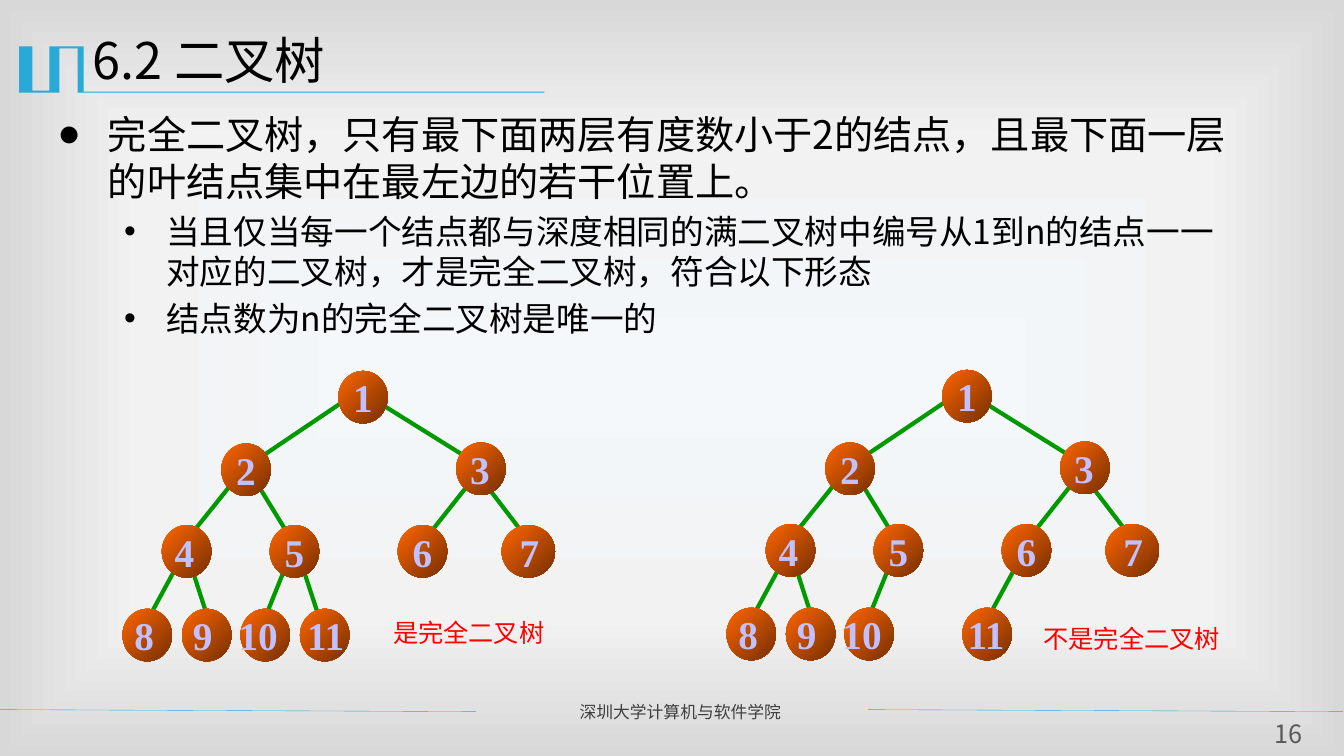
from lxml import etree
from pptx import Presentation
from pptx.dml.color import RGBColor
from pptx.enum.shapes import MSO_CONNECTOR as CONN, MSO_SHAPE as SHAPE
from pptx.enum.text import MSO_ANCHOR as ANCHOR, MSO_AUTO_SIZE as FIT, PP_ALIGN as ALIGN
from pptx.oxml import parse_xml
from pptx.oxml.ns import nsdecls, qn
from pptx.util import Inches, Pt

COLORS = {
    "accent": "28A9D6", "text": "000000", "footer": "3F3F3F", "page": "595959",
    "edge": "009900", "node_light": "FF6600", "node_dark": "762F00",
    "label": "C1C1FF", "caption": "FF0000",
    "bg_inner": "F4F8FB", "bg_mid": "F2F2F2", "bg_outer": "D8D8D8",
}
RGB = {name: RGBColor.from_string(value) for name, value in COLORS.items()}
SANS, SERIF = "Noto Sans CJK SC", "Times New Roman"


def add_run(p, text, size, color, font=SANS, bold=False):
    r = p.add_run()
    r.text = text
    r.font.size, r.font.name, r.font.bold = Pt(size), font, bold
    r.font.color.rgb = RGB[color]
    etree.SubElement(r.font._element, qn("a:ea")).set("typeface", font)


def add_line(ends, color, width):
    line = slide.shapes.add_connector(CONN.STRAIGHT, *[Inches(v) for v in ends])
    line.line.color.rgb = RGB[color]
    line.line.width = Pt(width)
    etree.SubElement(line._element.spPr, qn("a:effectLst"))


prs = Presentation()
prs.slide_width, prs.slide_height = Inches(13.33), Inches(7.5)
slide = prs.slides.add_slide(prs.slide_layouts[1])

# Background: rectangular gradient, light in the middle
slide.background.fill.solid()
bg = slide.element.xpath(".//p:bgPr")[0]
stops = "".join(
    f'<a:gs pos="{pos * 1000}"><a:srgbClr val="{COLORS[name]}"/></a:gs>'
    for pos, name in ((0, "bg_inner"), (63, "bg_mid"), (100, "bg_outer")))
bg.replace(bg[0], parse_xml(
    f'<a:gradFill {nsdecls("a")} rotWithShape="1"><a:gsLst>{stops}</a:gsLst>'
    '<a:path path="rect"><a:fillToRect l="50000" t="50000" r="50000" b="50000"/>'
    '</a:path></a:gradFill>'))

# Title ornament and footer rules
ornament = [(0.82, 0.46), (0.83, 0.46), (0.83, 0.91), (5.4, 0.91), (5.4, 0.92),
            (0.77, 0.92), (0.77, 0.48), (0.59, 0.48), (0.59, 0.92), (0.19, 0.92),
            (0.19, 0.46), (0.32, 0.46), (0.32, 0.9), (0.49, 0.9), (0.49, 0.46)]
points = [(Inches(x), Inches(y)) for x, y in ornament]
builder = slide.shapes.build_freeform(*points[0], scale=1.0)
builder.add_line_segments(points[1:], close=True)
sp = builder.convert_to_shape()
sp.shadow.inherit = False
sp.fill.solid()
sp.fill.fore_color.rgb = RGB["accent"]
sp.line.fill.background()
for left, right in ((0, 4.72), (8.61, 13.32)):
    add_line((left, 7.04, right, 7.06), "accent", 0.25)

# Title
title = slide.shapes.title
title.left, title.top, title.width, title.height = [Inches(v) for v in (0.82, 0.24, 12, 0.87)]
tf = title.text_frame
tf.auto_size, tf.vertical_anchor = FIT.NONE, ANCHOR.TOP
p = tf.paragraphs[0]
p.alignment = ALIGN.LEFT
add_run(p, "6.2 二叉树", 36, "text")

# Bulleted text
body = slide.placeholders[1]
body.left, body.top, body.width, body.height = [Inches(v) for v in (0.47, 1.04, 11.79, 2.4)]
tf = body.text_frame
tf.auto_size, tf.vertical_anchor = FIT.NONE, ANCHOR.TOP
bullets = [
    (0, "完全二叉树，只有最下面两层有度数小于2的结点，且最下面一层的叶结点集中在最左边的若干位置上。"),
    (1, "当且仅当每一个结点都与深度相同的满二叉树中编号从1到n的结点一一对应的二叉树，才是完全二叉树，符合以下形态"),
    (1, "结点数为n的完全二叉树是唯一的"),
]
bullet_styles = [("●", 28, 0.5, -0.5), ("•", 24, 1.08, -0.42)]
for i, (level, text) in enumerate(bullets):
    char, size, margin, indent = bullet_styles[level]
    p = tf.add_paragraph() if i else tf.paragraphs[0]
    p.level = level
    pPr = p._p.get_or_add_pPr()
    pPr.set("marL", str(Inches(margin)))
    pPr.set("indent", str(Inches(indent)))
    etree.SubElement(pPr, qn("a:buChar")).set("char", char)
    p.line_spacing = 1.0
    p.space_before = Pt(4.8 if i else 0)
    add_run(p, text, size, "text")

# Trees: node -> centre x, centre y, label shift
nodes = {
    1: (3.6, 3.94, 0), 2: (2.44, 4.66, 0), 3: (4.77, 4.65, -0.01),
    4: (1.85, 5.47, -0.02), 5: (2.92, 5.47, 0), 6: (4.19, 5.47, 0), 7: (5.24, 5.47, 0.01),
    8: (1.46, 6.3, -0.03), 9: (2.05, 6.3, -0.04), 10: (2.63, 6.3, -0.07),
}
# Child node -> ends of the edge from its parent
edges = {
    2: (3.5, 3.92, 2.49, 4.6), 3: (3.75, 3.99, 4.73, 4.6),
    4: (2.29, 4.81, 1.8, 5.42), 5: (2.49, 4.7, 2.87, 5.32),
    6: (4.73, 4.7, 4.24, 5.32), 7: (4.82, 4.81, 5.21, 5.32),
    8: (1.8, 5.53, 1.41, 6.25), 9: (1.9, 5.63, 2.1, 6.25), 10: (2.87, 5.53, 2.58, 6.25),
}
# Offset of each tree, and where its node 11 hangs
trees = [
    (0, 0, (3.22, 6.3, 0.01), (2.97, 5.53, 3.17, 6.14)),
    (5.99, -0.01, (3.8, 6.3, -0.01), (4.14, 5.53, 3.75, 6.25)),
]
for dx, dy, last_node, last_edge in trees:
    for x1, y1, x2, y2 in (edges | {11: last_edge}).values():
        add_line((x1 + dx, y1 + dy, x2 + dx, y2 + dy), "edge", 3)
    for number, (x, y, shift) in (nodes | {11: last_node}).items():
        w, h = (0.53 if number == 7 else 0.49), 0.52
        sp = slide.shapes.add_shape(SHAPE.OVAL, Inches(x + dx - w / 2), Inches(y + dy - h / 2),
                                    Inches(w), Inches(h))
        sp.shadow.inherit = False
        sp.line.fill.background()
        sp.fill.gradient()
        sp.fill.gradient_angle = 315
        for stop, position, color in zip(sp.fill.gradient_stops, (0, 1),
                                         ("node_light", "node_dark")):
            stop.position, stop.color.rgb = position, RGB[color]
        tf = sp.text_frame
        tf.word_wrap, tf.vertical_anchor = False, ANCHOR.MIDDLE
        tf.margin_top = tf.margin_bottom = 0
        tf.margin_left = Inches(max(2 * shift, 0))
        tf.margin_right = Inches(max(-2 * shift, 0))
        p = tf.paragraphs[0]
        p.alignment = ALIGN.CENTER
        add_run(p, str(number), 28, "label", SERIF, True)

# Captions, footer and page number
texts = [
    ("是完全二叉树", (3.8, 6.11, 1.7, 0.37), 18, "caption", ALIGN.LEFT, 0.9, 0.1),
    ("不是完全二叉树", (10.25, 6.17, 1.95, 0.37), 18, "caption", ALIGN.LEFT, 0.9, 0.1),
    ("深圳大学计算机与软件学院", (5.65, 6.91, 2.85, 0.3), 12, "footer", ALIGN.LEFT, 1.0, 0.1),
    ("16", (12.48, 7.13, 0.59, 0.31), 18, "page", ALIGN.CENTER, 1.0, 0),
]
for text, box, size, color, align, spacing, margin in texts:
    tf = slide.shapes.add_textbox(*[Inches(v) for v in box]).text_frame
    tf.word_wrap = color != "caption"
    tf.margin_left = tf.margin_right = Inches(margin)
    tf.margin_top = tf.margin_bottom = Inches(margin / 2)
    p = tf.paragraphs[0]
    p.alignment, p.line_spacing = align, spacing
    add_run(p, text, size, color)

prs.save("out.pptx")
